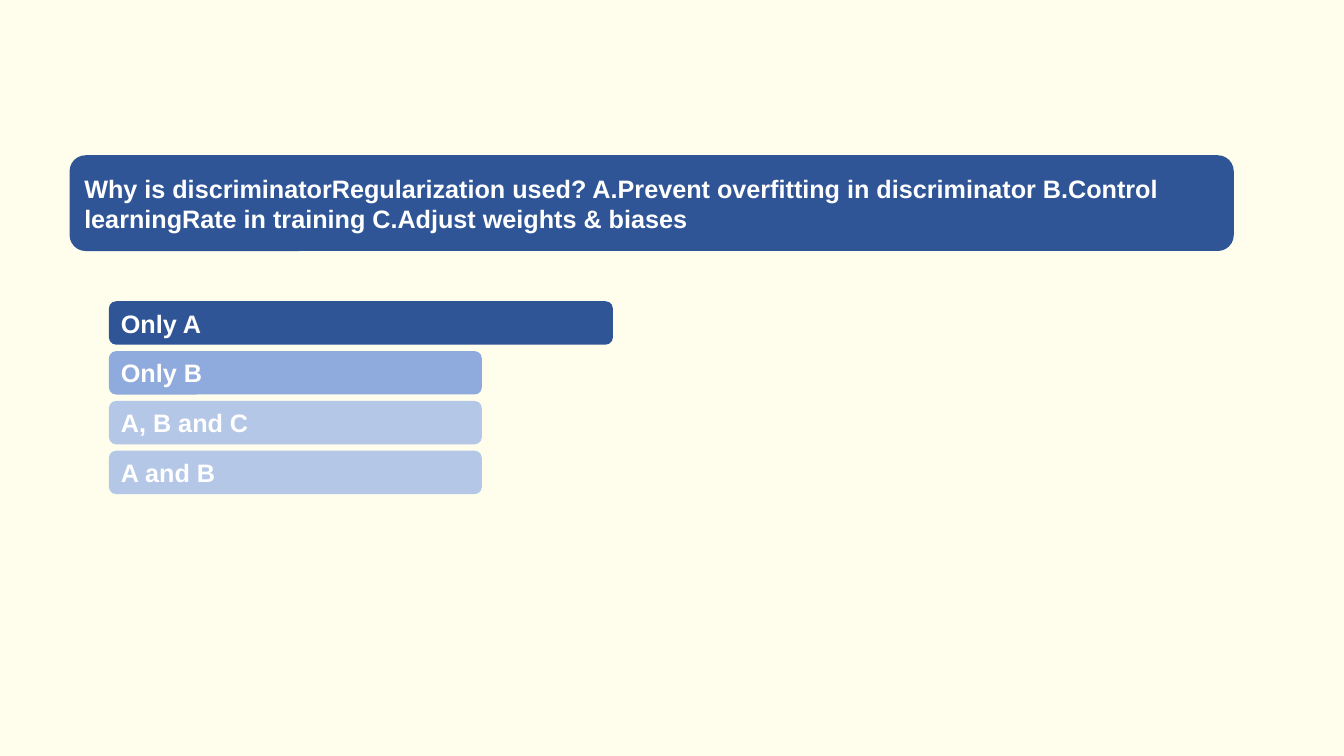
"""Build a quiz slide with one question and four answer bars."""
import pptx
import pptx.util
import pptx.dml.color
import pptx.enum.shapes
import pptx.enum.text

Pt = pptx.util.Pt
RGBColor = pptx.dml.color.RGBColor

CREAM = RGBColor(0xFF, 0xFE, 0xED)
NAVY = RGBColor(0x2F, 0x55, 0x97)
BLUE = RGBColor(0x8F, 0xAA, 0xDC)
PALE = RGBColor(0xB4, 0xC7, 0xE7)
WHITE = RGBColor(0xFF, 0xFF, 0xFF)

QUESTION = (
    "Why is discriminatorRegularization used? "
    "A.Prevent overfitting in discriminator "
    "B.Control learningRate in training C.Adjust weights & biases"
)
ANSWERS = [
    ("Only A", NAVY, 360),
    ("Only B", BLUE, 266.4),
    ("A, B and C", PALE, 266.4),
    ("A and B", PALE, 266.4),
]

QUESTION_BOX = (49.7, 110.9, 831.6, 68.4)
QUESTION_INSET = 10.5
ANSWER_LEFT, ANSWER_TOP = 77.8, 215.2
ANSWER_HEIGHT, ANSWER_PITCH = 31, 35.6


def add_bar(slide, left, top, width, height, color):
    bar = slide.shapes.add_shape(
        pptx.enum.shapes.MSO_SHAPE.ROUNDED_RECTANGLE,
        Pt(left), Pt(top), Pt(width), Pt(height))
    bar.shadow.inherit = False
    bar.fill.solid()
    bar.fill.fore_color.rgb = color
    bar.line.fill.background()
    return bar


def write_text(shape, text):
    frame = shape.text_frame
    frame.word_wrap = True
    frame.auto_size = pptx.enum.text.MSO_AUTO_SIZE.NONE
    frame.vertical_anchor = pptx.enum.text.MSO_ANCHOR.MIDDLE
    paragraph = frame.paragraphs[0]
    paragraph.alignment = pptx.enum.text.PP_ALIGN.LEFT
    run = paragraph.add_run()
    run.text = text
    run.font.name = "Arial"
    run.font.size = Pt(18)
    run.font.bold = True
    run.font.color.rgb = WHITE


presentation = pptx.Presentation()
presentation.slide_width = Pt(960)
presentation.slide_height = Pt(540)
slide = presentation.slides.add_slide(presentation.slide_layouts[5])
slide.background.fill.solid()
slide.background.fill.fore_color.rgb = CREAM

add_bar(slide, *QUESTION_BOX, NAVY)
title = slide.shapes.title
title.left, title.top, title.width, title.height = map(Pt, QUESTION_BOX)
title.text_frame.margin_left = title.text_frame.margin_right = Pt(QUESTION_INSET)
write_text(title, QUESTION)
tree = slide.shapes.element
tree.append(title.element)

for row, (answer, color, width) in enumerate(ANSWERS):
    top = ANSWER_TOP + row * ANSWER_PITCH
    bar = add_bar(slide, ANSWER_LEFT, top, width, ANSWER_HEIGHT, color)
    write_text(bar, answer)

presentation.save("out.pptx")
